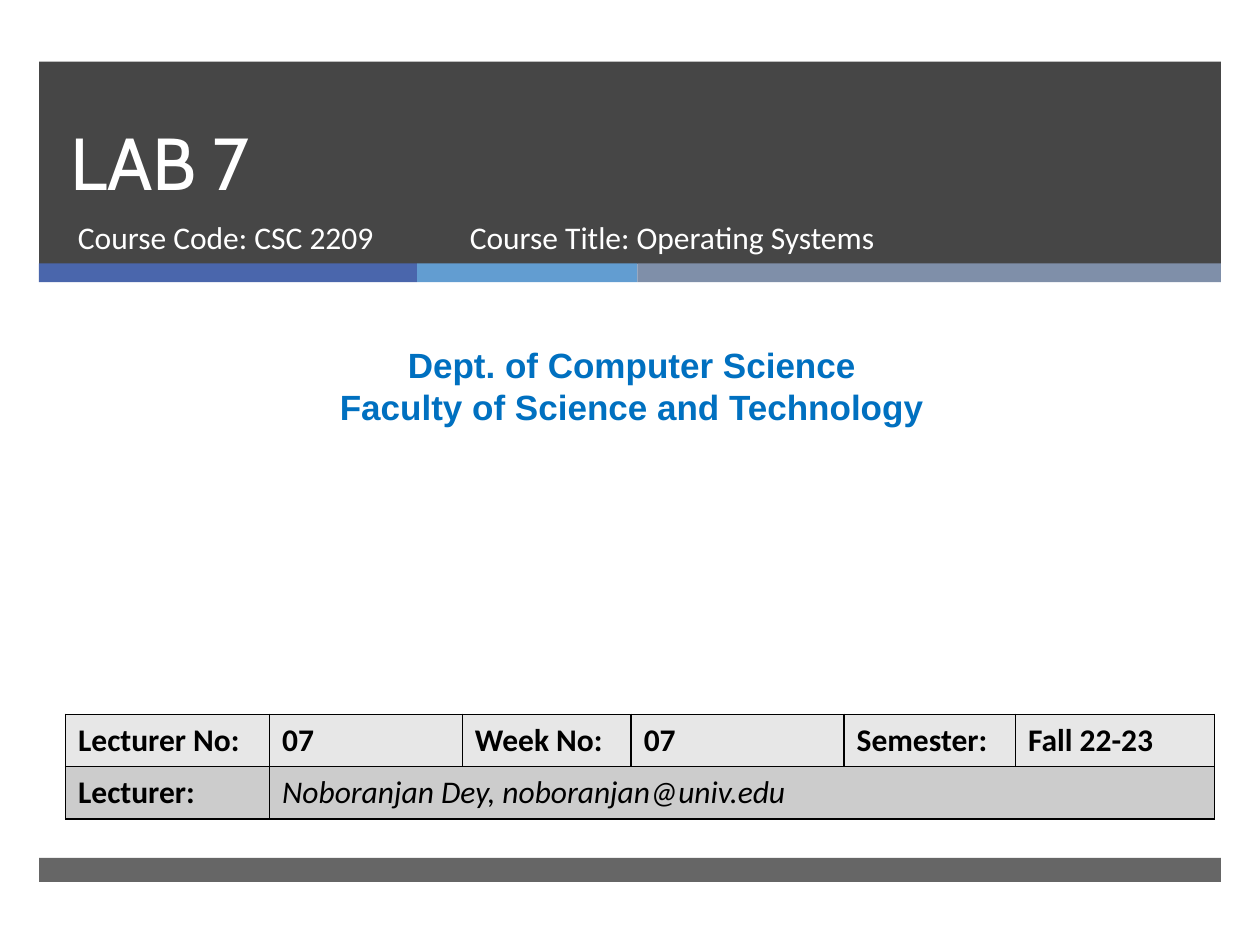
from itertools import accumulate

from lxml import etree
from pptx import Presentation
from pptx.dml.color import RGBColor
from pptx.enum.shapes import MSO_SHAPE
from pptx.enum.text import MSO_ANCHOR, PP_ALIGN
from pptx.oxml.ns import qn
from pptx.util import Inches, Pt

RECTANGLE = MSO_SHAPE.RECTANGLE
TOP, MIDDLE, BOTTOM = MSO_ANCHOR.TOP, MSO_ANCHOR.MIDDLE, MSO_ANCHOR.BOTTOM
LEFT, CENTER = PP_ALIGN.LEFT, PP_ALIGN.CENTER

THEME = {
    "dark": "262626", "light": "FFFFFF", "ink": "000000", "department": "0070C0",
    "stripes": ["4A66AC", "629DD1", "7F8FA9"],
    "table_rows": ["E7E7E7", "CCCCCC"],
    "title_font": "Cabin", "body_font": "Calibri", "department_font": "Arial",
    "title_size": 42, "department_size": 20, "body_size": 18,
}

prs = Presentation()
prs.slide_width, prs.slide_height = Inches(10), Inches(7.5)
slide = prs.slides.add_slide(prs.slide_layouts[6])

# The slide is a grid of 100 columns by 100 rows.
COL, ROW = prs.slide_width / 100, prs.slide_height / 100


def add_band(left, top, width, height, color, opacity=100):
    """Add a borderless bar; opacity is in percent."""
    band = slide.shapes.add_shape(RECTANGLE, int(left * COL), int(top * ROW),
                                  int(width * COL), int(height * ROW))
    band.shadow.inherit = False
    band.line.fill.background()
    band.fill.solid()
    band.fill.fore_color.rgb = RGBColor.from_string(color)
    if opacity < 100:
        tint = band._element.spPr.find(qn("a:solidFill"))[0]
        etree.SubElement(tint, qn("a:alpha"), val=str(opacity * 1000))


def add_text(left, top, width, height, lines, font, size, color,
             bold=False, align=LEFT, anchor=TOP, spacing=None):
    box = slide.shapes.add_textbox(int(left * COL), int(top * ROW),
                                   int(width * COL), int(height * ROW))
    frame = box.text_frame
    frame.word_wrap = True
    frame.vertical_anchor = anchor
    frame.text = "\n".join(lines)
    for paragraph in frame.paragraphs:
        paragraph.alignment = align
        paragraph.line_spacing = spacing
        paragraph.font.name = font
        paragraph.font.size = Pt(size)
        paragraph.font.bold = bold
        paragraph.font.color.rgb = RGBColor.from_string(color)


# Header, stripes and footer
MARGIN, BAND_WIDTH = 3.1, 93.8
add_band(MARGIN, 6.53, BAND_WIDTH, 21.4, THEME["dark"], 85)
stripe_widths = [30, 17.5, 46.3]
stripe_lefts = accumulate(stripe_widths, initial=MARGIN)
for left, width, color in zip(stripe_lefts, stripe_widths, THEME["stripes"]):
    add_band(left, 27.87, width, 2, color)
add_band(MARGIN, 90.8, BAND_WIDTH, 2.53, THEME["dark"], 70)

# Titles
add_text(4.6, 6.53, 85.4, 15.87, ["LAB 7"], THEME["title_font"], THEME["title_size"],
         THEME["light"], anchor=BOTTOM, spacing=Pt(46))
for left, width, course_line in [(5.2, 30.5, "Course Code: CSC 2209"),
                                 (36.3, 45.5, "Course Title: Operating Systems")]:
    add_text(left, 22.4, width, 7.07, [course_line], THEME["body_font"],
             THEME["body_size"], THEME["light"])
add_text(0.8, 35.73, 98.7, 10.27,
         ["Dept. of Computer Science", "Faculty of Science and Technology"],
         THEME["department_font"], THEME["department_size"], THEME["department"],
         bold=True, align=CENTER)

# Lecture details
details = [["Lecturer No:", "07", "Week No:", "07", "Semester:", "Fall 22-23"],
           ["Lecturer:", "Noboranjan Dey, noboranjan@univ.edu", "", "", "", ""]]
column_widths = [16.2, 15.3, 13.4, 16.9, 13.6, 15.8]
row_height = 5.53
table = slide.shapes.add_table(
    len(details), len(column_widths), int(5.2 * COL), int(75.6 * ROW),
    int(sum(column_widths) * COL), int(len(details) * row_height * ROW)).table
for column, width in zip(table.columns, column_widths):
    column.width = int(width * COL)
table.cell(1, 1).merge(table.cell(1, 5))

for r, values in enumerate(details):
    table.rows[r].height = int(row_height * ROW)
    for c, value in enumerate(values):
        cell = table.cell(r, c)
        cell.text = value
        cell.vertical_anchor = MIDDLE
        is_lecturer_name = r == 1 and c > 0
        font = cell.text_frame.paragraphs[0].font
        font.name, font.size = THEME["body_font"], Pt(THEME["body_size"])
        font.bold, font.italic = not is_lecturer_name, is_lecturer_name
        font.color.rgb = RGBColor.from_string(THEME["ink"])
        properties = cell._tc.get_or_add_tcPr()
        for side in ("a:lnL", "a:lnR", "a:lnT", "a:lnB"):
            border = etree.SubElement(properties, qn(side), w=str(Pt(1)))
            paint = etree.SubElement(border, qn("a:solidFill"))
            etree.SubElement(paint, qn("a:srgbClr"), val=THEME["ink"])
        cell.fill.solid()
        cell.fill.fore_color.rgb = RGBColor.from_string(THEME["table_rows"][r])

prs.save("out.pptx")
